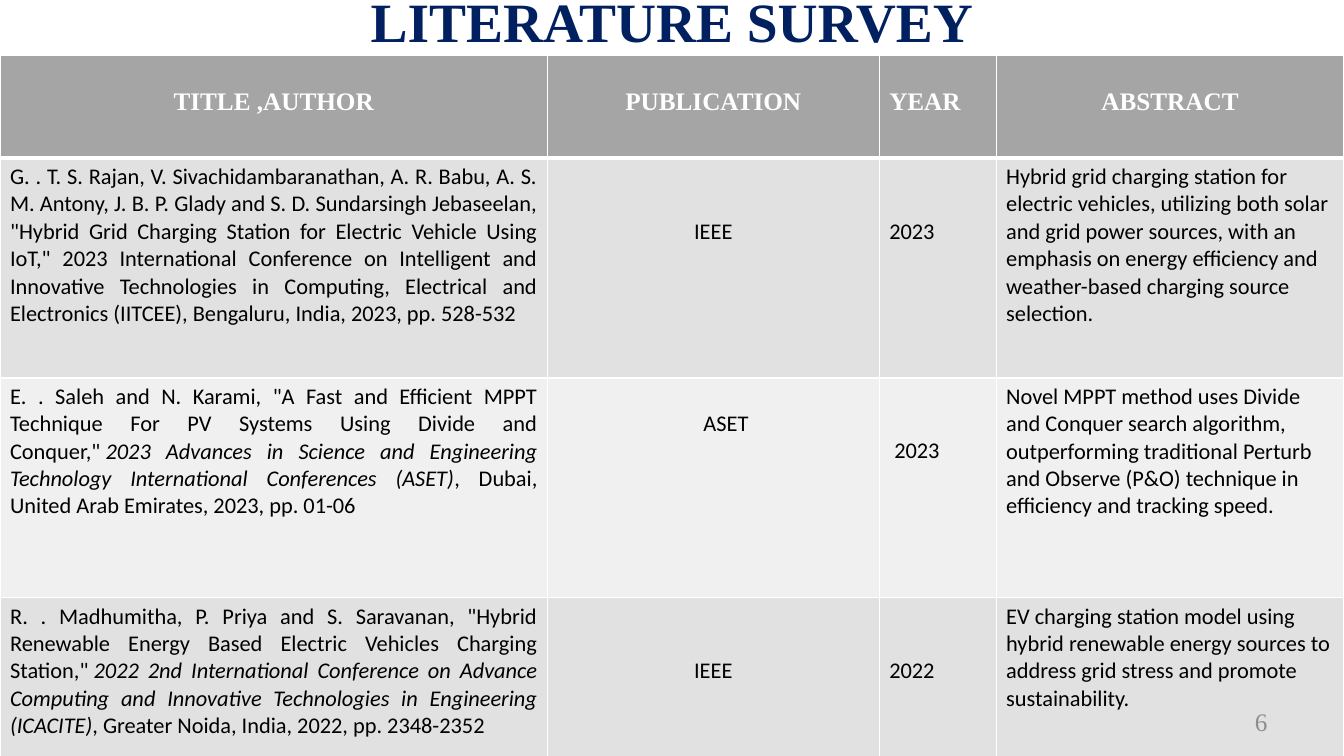
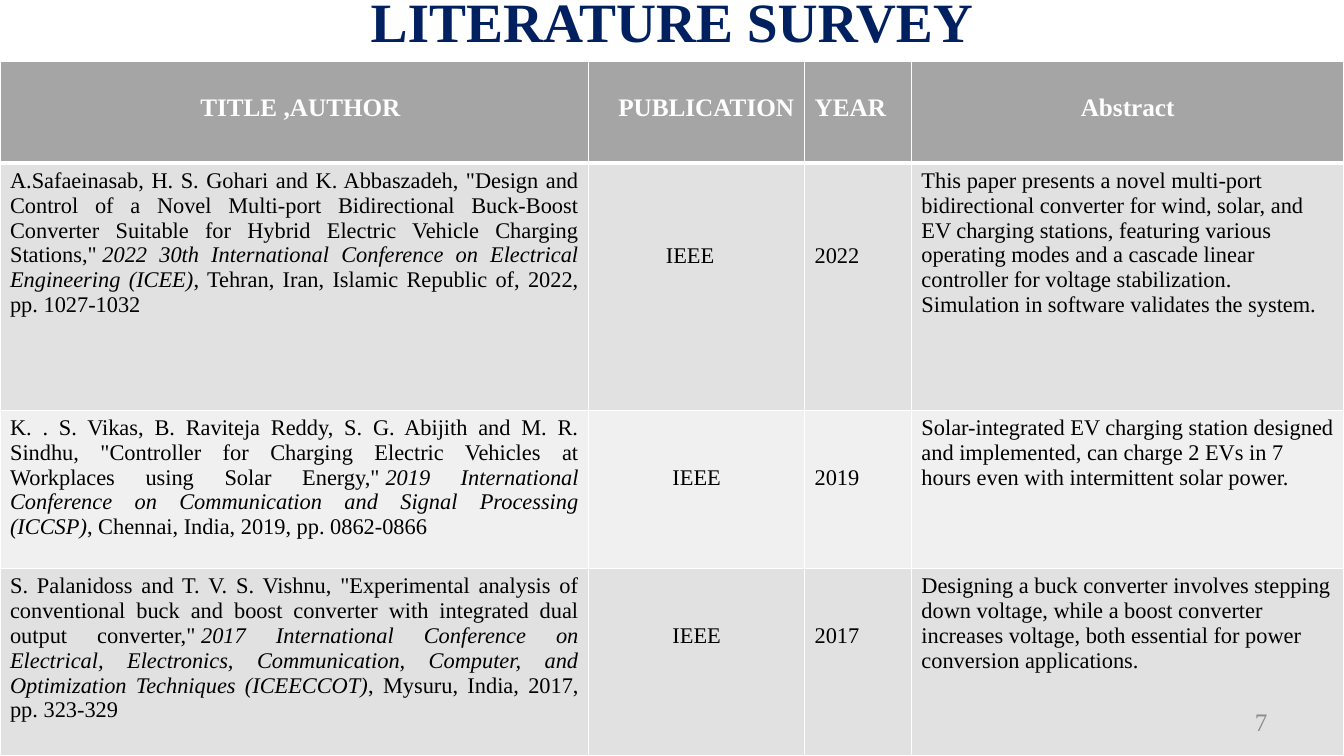
"""Builds two literature survey slides, each with a table of papers."""
from typing import NamedTuple

from lxml import etree
from pptx import Presentation
from pptx.dml.color import RGBColor
from pptx.enum.text import MSO_ANCHOR, PP_ALIGN
from pptx.oxml.ns import qn
from pptx.util import Inches, Pt

LEFT, CENTER, RIGHT, JUSTIFY = PP_ALIGN.LEFT, PP_ALIGN.CENTER, PP_ALIGN.RIGHT, PP_ALIGN.JUSTIFY
MIDDLE = MSO_ANCHOR.MIDDLE

SERIF, SANS = "Times New Roman", "Calibri"
NAVY, WHITE, BLACK, PAGE_GREY = "002060", "FFFFFF", "000000", "8C8C8C"
HEADER_FILL = "A5A5A5"
BAND_FILLS = ("E1E1E1", "F0F0F0")
LINE_HEIGHT = {SERIF: 0.25, SANS: 0.27}
HEADER_DROP = 0.27
SIDE_MARGIN, TOP_MARGIN = 0.1, 0.05
SLIDE_WIDTH, SLIDE_HEIGHT = 13.33, 7.5
TITLE = "LITERATURE SURVEY"
HARD_SPACE = chr(160)


class Paper(NamedTuple):
    """One table row; drops count lines down, shifts are inches sideways."""
    authors: str
    conference: str
    place: str
    publication: str
    year: str
    abstract: str
    publication_drop: int = 2
    year_drop: int = 2
    publication_shift: float = 0
    year_shift: float = 0


class Survey(NamedTuple):
    """One slide of the survey."""
    page: str
    font: str
    table_top: float
    columns: tuple
    rows: tuple
    headings: tuple
    heading_shifts: tuple
    papers: tuple


SURVEYS = (
    Survey(
        "6", SANS, 0.55, (5.43, 3.29, 1.16, 3.45), (1.02, 2.18, 2.18, 1.58),
        ("TITLE ,AUTHOR", "PUBLICATION", "YEAR", "ABSTRACT"), (0, 0, 0, 0),
        (
            Paper(
                'G. . T. S. Rajan, V. Sivachidambaranathan, A. R. Babu, A. S. M. Antony, '
                'J. B. P. Glady and S. D. Sundarsingh Jebaseelan, "Hybrid Grid Charging Station '
                'for Electric Vehicle Using IoT," 2023 International Conference on Intelligent '
                'and Innovative Technologies in Computing, Electrical and Electronics (IITCEE), '
                'Bengaluru, India, 2023, pp. 528-532',
                "", "", "IEEE", "2023",
                "Hybrid grid charging station for electric vehicles, utilizing both solar and "
                "grid power sources, with an emphasis on energy efficiency and weather-based "
                "charging source selection."),
            Paper(
                'E. . Saleh and N. Karami, "A Fast and Efficient MPPT Technique For PV Systems '
                'Using Divide and Conquer,"',
                "2023 Advances in Science and Engineering Technology International "
                "Conferences (ASET)",
                ", Dubai, United Arab Emirates, 2023, pp. 01-06", "ASET", "2023",
                "Novel MPPT method uses Divide and Conquer search algorithm, outperforming "
                "traditional Perturb and Observe (P&O) technique in efficiency and tracking "
                "speed.",
                publication_drop=1, publication_shift=0.25, year_shift=0.05),
            Paper(
                'R. . Madhumitha, P. Priya and S. Saravanan, "Hybrid Renewable Energy Based '
                'Electric Vehicles Charging Station,"',
                "2022 2nd International Conference on Advance Computing and Innovative "
                "Technologies in Engineering (ICACITE)",
                ", Greater Noida, India, 2022, pp. 2348-2352", "IEEE", "2022",
                "EV charging station model using hybrid renewable energy sources to address "
                "grid stress and promote sustainability."),
        )),
    Survey(
        "7", SERIF, 0.61, (5.84, 2.14, 1.06, 4.29), (1.01, 2.45, 1.57, 1.86),
        ("TITLE ,AUTHOR", "PUBLICATION", "YEAR", "Abstract"), (0.12, 0.19, 0, 0),
        (
            Paper(
                'A.Safaeinasab, H. S. Gohari and K. Abbaszadeh, "Design and Control of a Novel '
                'Multi-port Bidirectional Buck-Boost Converter Suitable for Hybrid Electric '
                'Vehicle Charging Stations,"',
                "2022 30th International Conference on Electrical Engineering (ICEE)",
                ", Tehran, Iran, Islamic Republic of, 2022, pp. 1027-1032", "IEEE", "2022",
                "This paper presents a novel multi-port bidirectional converter for wind, "
                "solar, and EV charging stations, featuring various operating modes and a "
                "cascade linear controller for voltage stabilization. Simulation in software "
                "validates the system.",
                publication_drop=3, year_drop=3, publication_shift=-0.13),
            Paper(
                'K. . S. Vikas, B. Raviteja Reddy, S. G. Abijith and M. R. Sindhu, "Controller '
                'for Charging Electric Vehicles at Workplaces using Solar Energy,"',
                "2019 International Conference on Communication and Signal Processing (ICCSP)",
                ", Chennai, India, 2019, pp. 0862-0866", "IEEE", "2019",
                "Solar-integrated EV charging station designed and implemented, can charge 2 "
                "EVs in 7 hours even with intermittent solar power."),
            Paper(
                'S. Palanidoss and T. V. S. Vishnu, "Experimental analysis of conventional buck '
                'and boost converter with integrated dual output converter,"',
                "2017 International Conference on Electrical, Electronics, Communication, "
                "Computer, and Optimization Techniques (ICEECCOT)",
                ", Mysuru, India, 2017, pp. 323-329", "IEEE", "2017",
                "Designing a buck converter involves stepping down voltage, while a boost "
                "converter increases voltage, both essential for power conversion "
                "applications."),
        )),
)


def rgb(color):
    return RGBColor.from_string(color)


def add_run(paragraph, text, font, size, color, bold=False, italic=False):
    run = paragraph.add_run()
    run.text = text
    run.font.name, run.font.size = font, Pt(size)
    run.font.bold, run.font.italic = bold, italic
    run.font.color.rgb = rgb(color)


def add_label(slide, text, place, align, size, color, bold=False):
    label = slide.shapes.add_textbox(*map(Inches, place))
    frame = label.text_frame
    frame.word_wrap = True
    frame.vertical_anchor = MIDDLE
    frame.margin_top = frame.margin_bottom = 0
    paragraph = frame.paragraphs[0]
    paragraph.alignment = align
    add_run(paragraph, text, SERIF, size, color, bold)
    return paragraph


def set_borders(cell, bottom_width):
    properties = cell._tc.get_or_add_tcPr()
    for side, width in (("L", 1), ("R", 1), ("T", 1), ("B", bottom_width)):
        border = etree.SubElement(properties, qn(f"a:ln{side}"), w=str(Pt(width)))
        fill = etree.SubElement(border, qn("a:solidFill"))
        etree.SubElement(fill, qn("a:srgbClr"), val=WHITE)


def fill_cell(cell, runs, align, fill, style, drop=0, shift=0, bottom_width=1):
    set_borders(cell, bottom_width)
    cell.fill.solid()
    cell.fill.fore_color.rgb = rgb(fill)
    cell.margin_top = Inches(TOP_MARGIN + drop)
    cell.margin_left = Inches(SIDE_MARGIN + max(shift, 0))
    cell.margin_right = Inches(SIDE_MARGIN + max(-shift, 0))
    paragraph = cell.text_frame.paragraphs[0]
    paragraph.alignment = align
    for text, italic in runs:
        add_run(paragraph, text, *style, italic=italic)


def citation_runs(paper):
    if not paper.conference:
        return [(paper.authors, False)]
    return [(paper.authors + HARD_SPACE, False), (paper.conference, True), (paper.place, False)]


def add_survey_table(slide, survey):
    frame = slide.shapes.add_table(
        len(survey.rows), len(survey.columns), 0, Inches(survey.table_top),
        Inches(SLIDE_WIDTH), Inches(sum(survey.rows)))
    table = frame.table
    for column, width in zip(table.columns, survey.columns):
        column.width = Inches(width)
    for row, height in zip(table.rows, survey.rows):
        row.height = Inches(height)

    heading_style = (SERIF, 18, WHITE, True)
    heading_aligns = (CENTER, CENTER, LEFT, CENTER)
    for index, heading in enumerate(survey.headings):
        fill_cell(table.cell(0, index), [(heading, False)], heading_aligns[index], HEADER_FILL,
                  heading_style, HEADER_DROP, survey.heading_shifts[index], bottom_width=3)

    body_style = (survey.font, 16, BLACK)
    line = LINE_HEIGHT[survey.font]
    for number, paper in enumerate(survey.papers):
        parts = (
            (citation_runs(paper), JUSTIFY, 0, 0),
            ([(paper.publication, False)], CENTER, paper.publication_drop,
             paper.publication_shift),
            ([(paper.year, False)], LEFT, paper.year_drop, paper.year_shift),
            ([(paper.abstract, False)], LEFT, 0, 0),
        )
        fill = BAND_FILLS[number % 2]
        for index, (runs, align, drop, shift) in enumerate(parts):
            fill_cell(table.cell(number + 1, index), runs, align, fill, body_style,
                      drop * line, shift)


def main():
    deck = Presentation()
    deck.slide_width, deck.slide_height = Inches(SLIDE_WIDTH), Inches(SLIDE_HEIGHT)
    for survey in SURVEYS:
        slide = deck.slides.add_slide(deck.slide_layouts[6])
        title = add_label(slide, TITLE, (0, 0, SLIDE_WIDTH, 0.48), CENTER, 39.6, NAVY, True)
        title.line_spacing = 0.9
        add_survey_table(slide, survey)
        add_label(slide, survey.page, (11.84, 6.96, 0.83, 0.4), RIGHT, 18, PAGE_GREY)
    deck.save("out.pptx")


if __name__ == "__main__":
    main()
